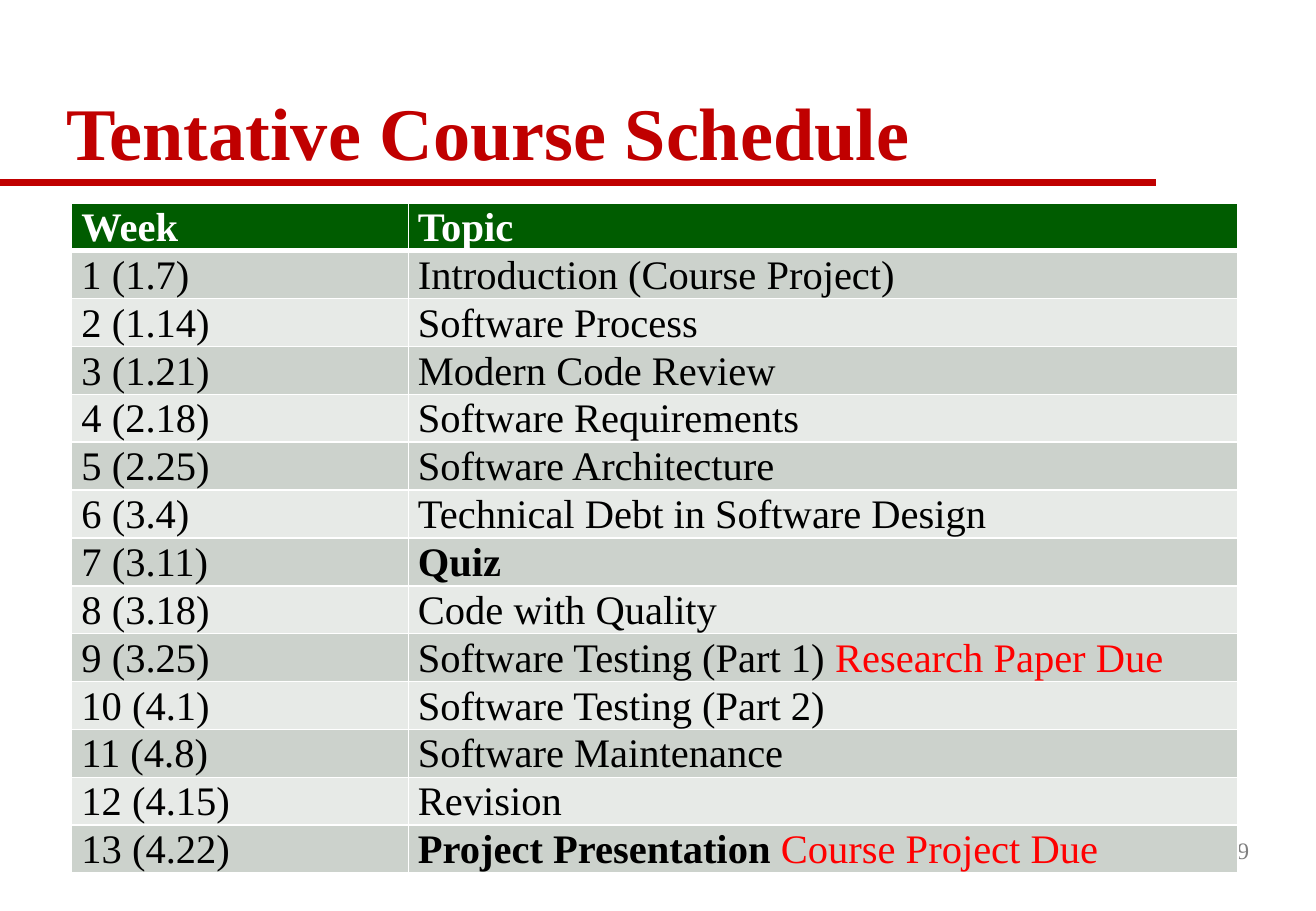
from dataclasses import dataclass

from lxml import etree
from pptx import Presentation
from pptx.dml.color import RGBColor
from pptx.enum.shapes import MSO_CONNECTOR
from pptx.enum.text import MSO_ANCHOR, MSO_AUTO_SIZE, PP_ALIGN
from pptx.oxml.ns import qn
from pptx.util import Inches, Pt

STRAIGHT = MSO_CONNECTOR.STRAIGHT
BOTTOM, MIDDLE = MSO_ANCHOR.BOTTOM, MSO_ANCHOR.MIDDLE
LEFT, RIGHT = PP_ALIGN.LEFT, PP_ALIGN.RIGHT
NO_AUTOFIT = MSO_AUTO_SIZE.NONE


@dataclass(frozen=True)
class Theme:
    face: str = "Times New Roman"
    accent: str = "C00000"
    header: str = "005C00"
    bands: tuple = ("E7EAE7", "CCD2CC")
    ink: str = "000000"
    paper: str = "FFFFFF"
    due: str = "FF0000"
    muted: str = "808080"
    title_size: int = 44
    body_size: int = 24
    body_leading: int = 28
    number_size: int = 14


THEME = Theme()
SCHEDULE = [
    ("Week", "Topic", ""),
    ("1 (1.7)", "Introduction (Course Project)", ""),
    ("2 (1.14)", "Software Process", ""),
    ("3 (1.21)", "Modern Code Review", ""),
    ("4 (2.18)", "Software Requirements", ""),
    ("5 (2.25)", "Software Architecture", ""),
    ("6 (3.4)", "Technical Debt in Software Design", ""),
    ("7 (3.11)", "Quiz", ""),
    ("8 (3.18)", "Code with Quality", ""),
    ("9 (3.25)", "Software Testing (Part 1) ", "Research Paper Due"),
    ("10 (4.1)", "Software Testing (Part 2)", ""),
    ("11 (4.8)", "Software Maintenance", ""),
    ("12 (4.15)", "Revision", ""),
    ("13 (4.22)", "Project Presentation ", "Course Project Due"),
]
MILESTONES = {"Week", "Topic", "Quiz", "Project Presentation "}
COLUMN_WIDTHS = (2.77, 6.83)
SCHEDULE_HEIGHT = 5.52


def style_font(font, size, color, bold=False):
    font.name = THEME.face
    font.size = Pt(size)
    font.bold = bold
    font.color.rgb = RGBColor.from_string(color)


def add_border(cell, side, points):
    border = etree.SubElement(cell._tc.get_or_add_tcPr(), qn(f"a:ln{side}"), w=str(Pt(points)))
    paint = etree.SubElement(border, qn("a:solidFill"))
    etree.SubElement(paint, qn("a:srgbClr"), val=THEME.paper)


deck = Presentation()
deck.slide_width, deck.slide_height = Inches(10.83), Inches(7.5)
slide = deck.slides.add_slide(deck.slide_layouts[5])

heading = slide.shapes.title
heading.left, heading.top = Inches(0.45), Inches(0.29)
heading.width, heading.height = Inches(9.88), Inches(1.21)
heading.text_frame.text = "Tentative Course Schedule"
heading.text_frame.auto_size = NO_AUTOFIT
heading.text_frame.vertical_anchor = BOTTOM
heading_line = heading.text_frame.paragraphs[0]
heading_line.alignment = LEFT
heading_line.line_spacing = 0.9
style_font(heading_line.font, THEME.title_size, THEME.accent, True)

rule = slide.shapes.add_connector(STRAIGHT, 0, Inches(1.5), Inches(9.51), Inches(1.5))
rule.line.color.rgb = RGBColor.from_string(THEME.accent)
rule.line.width = Pt(4)
etree.SubElement(rule._element.spPr, qn("a:effectLst"))

page_number = slide.shapes.add_textbox(Inches(8.12), Inches(6.75), Inches(2.26), Inches(0.5))
page_number.text_frame.text = "9"
page_number.text_frame.word_wrap = True
page_number.text_frame.vertical_anchor = MIDDLE
number_line = page_number.text_frame.paragraphs[0]
number_line.alignment = RIGHT
style_font(number_line.font, THEME.number_size, THEME.muted)

schedule = slide.shapes.add_table(
    len(SCHEDULE), len(COLUMN_WIDTHS),
    Inches(0.59), Inches(1.67), Inches(sum(COLUMN_WIDTHS)), Inches(SCHEDULE_HEIGHT),
).table
schedule.horz_banding = False
for column, width in zip(schedule.columns, COLUMN_WIDTHS):
    column.width = Inches(width)

for week_index, (week, topic, deadline) in enumerate(SCHEDULE):
    is_header = week_index == 0
    fill = THEME.header if is_header else THEME.bands[week_index % 2]
    ink = THEME.paper if is_header else THEME.ink
    for column_index, label in enumerate((week, topic)):
        cell = schedule.cell(week_index, column_index)
        cell.margin_left = cell.margin_right = Inches(0.08)
        cell.margin_top = cell.margin_bottom = 0
        borders = {"L": 1, "R": 1, "T": 3 if week_index == 1 else 1, "B": 3 if is_header else 1}
        for side, points in borders.items():
            add_border(cell, side, points)
        cell.fill.solid()
        cell.fill.fore_color.rgb = RGBColor.from_string(fill)
        entry = cell.text_frame.paragraphs[0]
        entry.line_spacing = Pt(THEME.body_leading)
        style_font(entry.font, THEME.body_size, ink)
        parts = [(label, ink, label in MILESTONES)]
        if column_index == 1 and deadline:
            parts.append((deadline, THEME.due, False))
        for wording, color, bold in parts:
            run = entry.add_run()
            run.text = wording
            style_font(run.font, THEME.body_size, color, bold)

deck.save("out.pptx")
